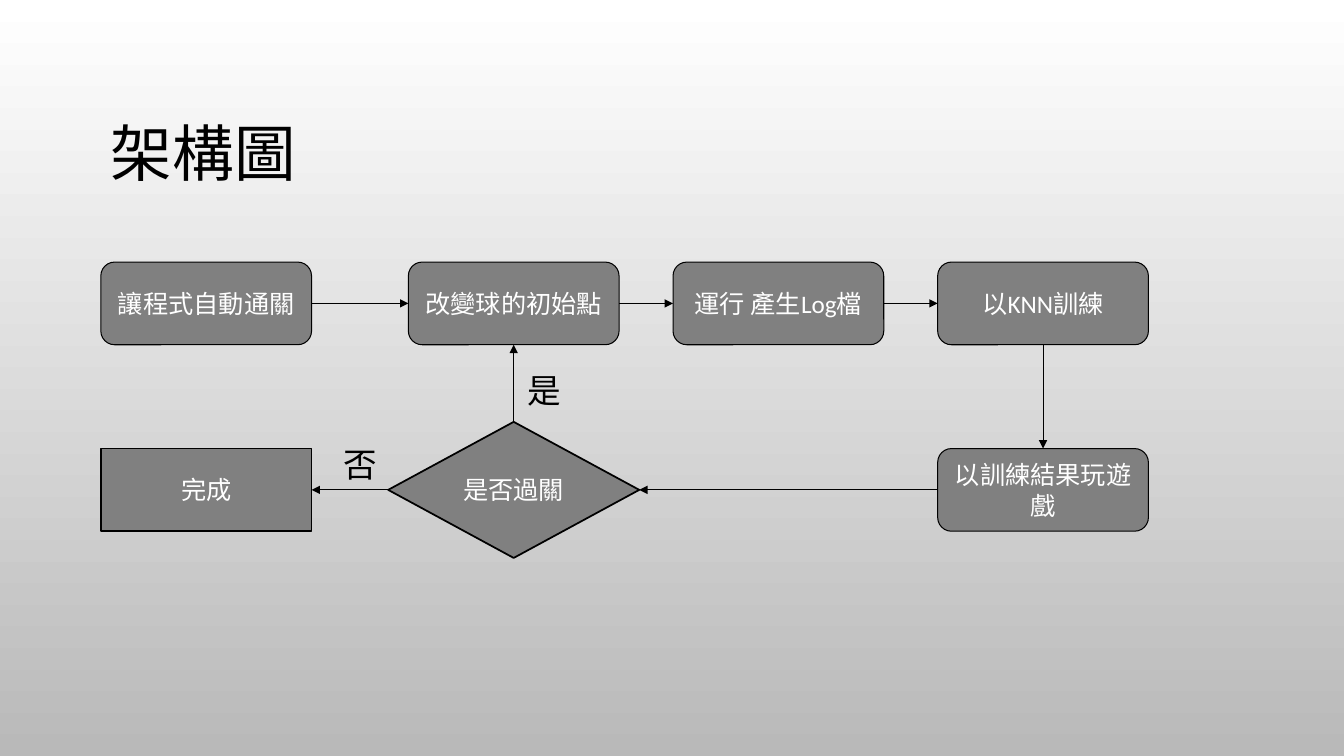
"""Build the architecture flowchart slide."""
from dataclasses import dataclass

from lxml import etree
from pptx import Presentation
from pptx.dml.color import RGBColor
from pptx.enum.shapes import MSO_CONNECTOR, MSO_SHAPE
from pptx.enum.text import MSO_ANCHOR, MSO_AUTO_SIZE, PP_ALIGN
from pptx.oxml.ns import qn
from pptx.shapes.autoshape import Shape
from pptx.slide import Slide
from pptx.util import Inches, Pt

ROUNDED, DIAMOND, RECTANGLE = MSO_SHAPE.ROUNDED_RECTANGLE, MSO_SHAPE.DIAMOND, MSO_SHAPE.RECTANGLE
STRAIGHT = MSO_CONNECTOR.STRAIGHT
MIDDLE, FIT_SHAPE = MSO_ANCHOR.MIDDLE, MSO_AUTO_SIZE.SHAPE_TO_FIT_TEXT
LEFT_ALIGN, CENTER = PP_ALIGN.LEFT, PP_ALIGN.CENTER
TOP, LEFT, BOTTOM, RIGHT = range(4)


@dataclass(frozen=True)
class Theme:
    """Colours, fonts and sizes of the slide."""
    ink: RGBColor = RGBColor(0, 0, 0)
    node_fill: RGBColor = RGBColor(0x80, 0x80, 0x80)
    node_text: RGBColor = RGBColor(255, 255, 255)
    background_top: RGBColor = RGBColor(255, 255, 255)
    background_bottom: RGBColor = RGBColor(0xB9, 0xB9, 0xB9)
    latin: str = "Calibri"
    east_asian: str = "Noto Sans CJK SC"
    title_size: int = 44
    node_size: int = 18
    label_size: int = 24
    thin: float = 0.75
    thick: float = 1.25


@dataclass(frozen=True)
class Node:
    """A flowchart step placed by its centre."""
    text: str
    x: float
    y: float
    preset: MSO_SHAPE = ROUNDED
    width: float = 2.09
    height: float = 0.82
    border: float = 0.75


@dataclass(frozen=True)
class Arrow:
    """A link between the sides of two steps."""
    source: str
    source_side: int
    target: str
    target_side: int


@dataclass(frozen=True)
class Label:
    """The answer beside a branch."""
    text: str
    left: float
    top: float


THEME = Theme()
UPPER_ROW, LOWER_ROW = 3.01, 4.86
START_X, CHANGE_X, LOG_X, TRAIN_X = 2.045, 5.095, 7.72, 10.345
NODES = {
    "start": Node("讓程式自動通關", START_X, UPPER_ROW),
    "change": Node("改變球的初始點", CHANGE_X, UPPER_ROW),
    "log": Node("運行 產生Log檔", LOG_X, UPPER_ROW),
    "train": Node("以KNN訓練", TRAIN_X, UPPER_ROW),
    "play": Node("以訓練結果玩遊戲", TRAIN_X, LOWER_ROW),
    "passed": Node("是否過關", CHANGE_X, LOWER_ROW, DIAMOND, 2.49, 1.35, THEME.thick),
    "done": Node("完成", START_X, LOWER_ROW, RECTANGLE, border=THEME.thick),
}
ARROWS = [
    Arrow("start", RIGHT, "change", LEFT),
    Arrow("change", RIGHT, "log", LEFT),
    Arrow("log", RIGHT, "train", LEFT),
    Arrow("train", BOTTOM, "play", TOP),
    Arrow("play", LEFT, "passed", RIGHT),
    Arrow("passed", TOP, "change", BOTTOM),
    Arrow("passed", LEFT, "done", RIGHT),
]
LABELS = [Label("是", 5.13, 3.62), Label("否", 3.31, 4.35)]


def write(shape: Shape, text: str, size: int, color: RGBColor,
          latin: str = THEME.latin, align: PP_ALIGN = CENTER) -> None:
    """Put one styled paragraph into a shape."""
    shape.text_frame.text = text
    paragraph = shape.text_frame.paragraphs[0]
    paragraph.alignment = align
    font = paragraph.font
    font.size, font.name = Pt(size), latin
    font.color.rgb = color
    defaults = paragraph._p.pPr.find(qn("a:defRPr"))
    etree.SubElement(defaults, qn("a:ea")).set("typeface", THEME.east_asian)


def paint_background(slide: Slide) -> None:
    """Fill the slide with a downward gradient."""
    fill = slide.background.fill
    fill.gradient()
    fill.gradient_angle = 270
    for stop, color in zip(fill.gradient_stops, (THEME.background_top, THEME.background_bottom)):
        stop.color.rgb = color


def add_title(slide: Slide, text: str) -> None:
    """Place and format the title."""
    title = slide.shapes.title
    title.left, title.top = Inches(1), Inches(0.68)
    title.width, title.height = Inches(11.33), Inches(1.75)
    write(title, text, THEME.title_size, THEME.ink, THEME.east_asian, LEFT_ALIGN)
    title.text_frame.vertical_anchor = MIDDLE
    title.text_frame.paragraphs[0].line_spacing = 0.9


def add_node(slide: Slide, node: Node) -> Shape:
    """Draw one step."""
    shape = slide.shapes.add_shape(
        node.preset, Inches(node.x - node.width / 2), Inches(node.y - node.height / 2),
        Inches(node.width), Inches(node.height))
    shape.shadow.inherit = False
    shape.fill.solid()
    shape.fill.fore_color.rgb = THEME.node_fill
    shape.line.color.rgb = THEME.ink
    shape.line.width = Pt(node.border)
    write(shape, node.text, THEME.node_size, THEME.node_text)
    shape.text_frame.vertical_anchor = MIDDLE
    return shape


def add_arrow(slide: Slide, arrow: Arrow, steps: dict[str, Shape]) -> None:
    """Join two steps with an arrow."""
    connector = slide.shapes.add_connector(STRAIGHT, 0, 0, 0, 0)
    connector.begin_connect(steps[arrow.source], arrow.source_side)
    connector.end_connect(steps[arrow.target], arrow.target_side)
    connector.line.color.rgb = THEME.ink
    connector.line.width = Pt(THEME.thin)
    etree.SubElement(connector.line._get_or_add_ln(), qn("a:tailEnd")).set("type", "triangle")
    etree.SubElement(connector._element.spPr, qn("a:effectLst"))


def add_label(slide: Slide, label: Label) -> None:
    """Write a branch answer."""
    box = slide.shapes.add_textbox(
        Inches(label.left), Inches(label.top), Inches(0.44), Inches(0.5))
    box.text_frame.auto_size = FIT_SHAPE
    box.text_frame.word_wrap = False
    write(box, label.text, THEME.label_size, THEME.ink)


def main() -> None:
    """Build and save the slide."""
    deck = Presentation()
    deck.slide_width, deck.slide_height = Inches(13.33), Inches(7.5)
    slide = deck.slides.add_slide(deck.slide_layouts[5])
    paint_background(slide)
    add_title(slide, "架構圖")
    steps = {key: add_node(slide, node) for key, node in NODES.items()}
    for arrow in ARROWS:
        add_arrow(slide, arrow, steps)
    for label in LABELS:
        add_label(slide, label)
    deck.save("out.pptx")


if __name__ == "__main__":
    main()
